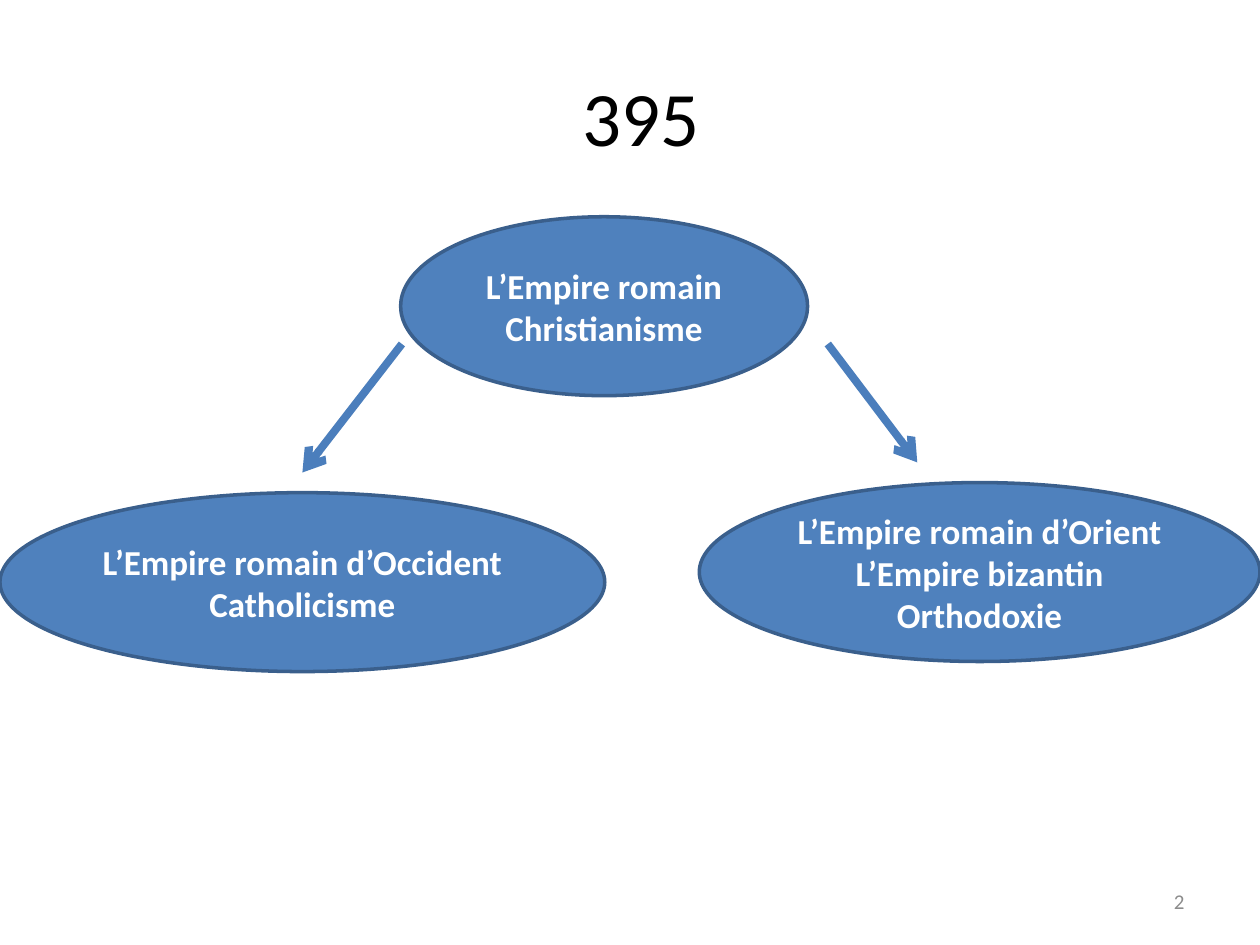
from lxml.etree import SubElement
from pptx import Presentation
from pptx.dml.color import RGBColor
from pptx.enum.shapes import MSO_CONNECTOR as Conn, MSO_SHAPE as Shape
from pptx.enum.text import MSO_ANCHOR as Anchor, PP_ALIGN as Align
from pptx.oxml.ns import qn
from pptx.util import Inches, Pt

BLACK = RGBColor(0x00, 0x00, 0x00)
WHITE = RGBColor(0xFF, 0xFF, 0xFF)
GREY = RGBColor(0x8C, 0x8C, 0x8C)
BLUE = RGBColor(0x4F, 0x81, 0xBD)
EDGE = RGBColor(0x3A, 0x5F, 0x8C)
ARROW = RGBColor(0x4B, 0x7E, 0xBC)


def write(shape, lines, color, align, style):
    frame = shape.text_frame
    frame.word_wrap = True
    frame.vertical_anchor = Anchor.MIDDLE
    frame.text = "\n".join(lines)
    for para in frame.paragraphs:
        para.alignment = align
        para.font.color.rgb = color
        for key, value in style.items():
            setattr(para.font, key, value)


deck = Presentation()
deck.slide_width, deck.slide_height = Inches(10), Inches(7.5)
slide = deck.slides.add_slide(deck.slide_layouts[6])
shapes = slide.shapes

# Title and page number
labels = [
    ("395", (0.59, 0.29, 9, 1.25), 44, BLACK, Align.CENTER),
    ("2", (7.17, 6.95, 2.33, 0.4), 12, GREY, Align.RIGHT),
]
for text, place, size, color, align in labels:
    box = shapes.add_textbox(*map(Inches, place))
    write(box, [text], color, align, {"name": "Calibri", "size": Pt(size)})

# The empire and its two halves
HIGH = 1.42
empires = [
    (3.18, 1.72, 3.23, ["L’Empire romain", "Christianisme"]),
    (0, 3.91, 4.8, ["L’Empire romain d’Occident", "Catholicisme"]),
    (5.55, 3.83, 4.45,
     ["L’Empire romain d’Orient", "L’Empire bizantin", "Orthodoxie"]),
]
bold = {"name": "Calibri", "size": Pt(20), "bold": True}
for left, top, width, lines in empires:
    oval = shapes.add_shape(Shape.OVAL, *map(Inches, (left, top, width, HIGH)))
    oval.shadow.inherit = False
    oval.fill.solid()
    oval.fill.fore_color.rgb = BLUE
    oval.line.color.rgb = EDGE
    oval.line.width = Pt(2)
    write(oval, lines, WHITE, Align.CENTER, bold)

# Arrows from the empire to each half
for ends in [(3.19, 2.73, 2.4, 3.75), (6.57, 2.73, 7.28, 3.67)]:
    arrow = shapes.add_connector(Conn.STRAIGHT, *map(Inches, ends))
    arrow.line.color.rgb = ARROW
    arrow.line.width = Pt(4.5)
    SubElement(arrow.line._get_or_add_ln(), qn("a:tailEnd"), type="arrow")
    SubElement(arrow._element.spPr, qn("a:effectLst"))

deck.save("out.pptx")
